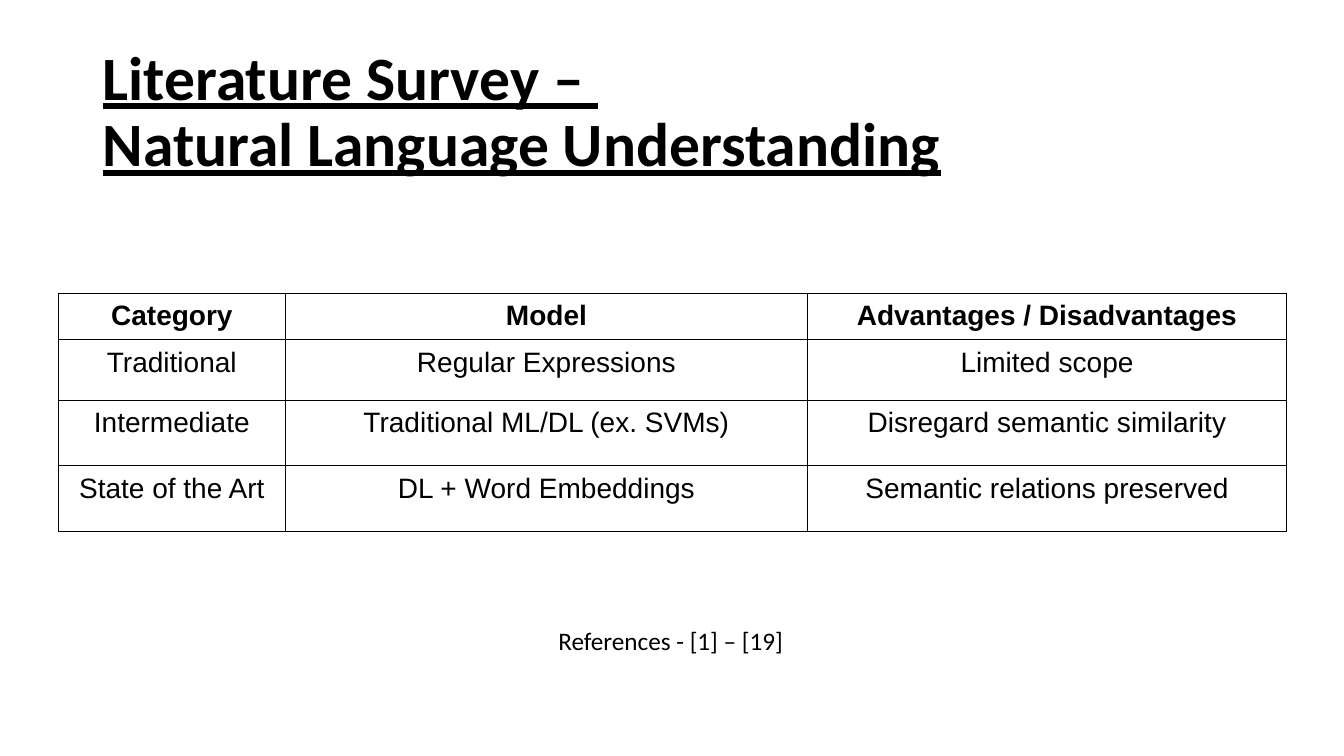
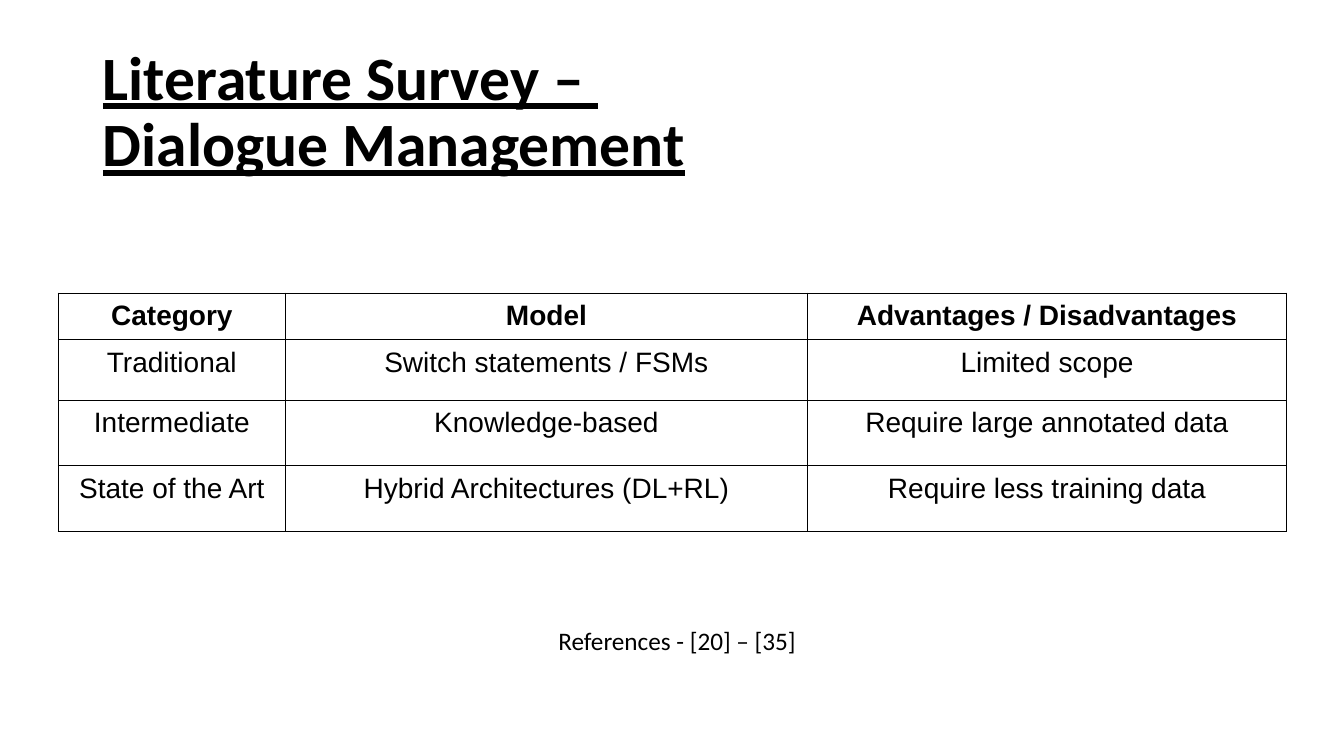
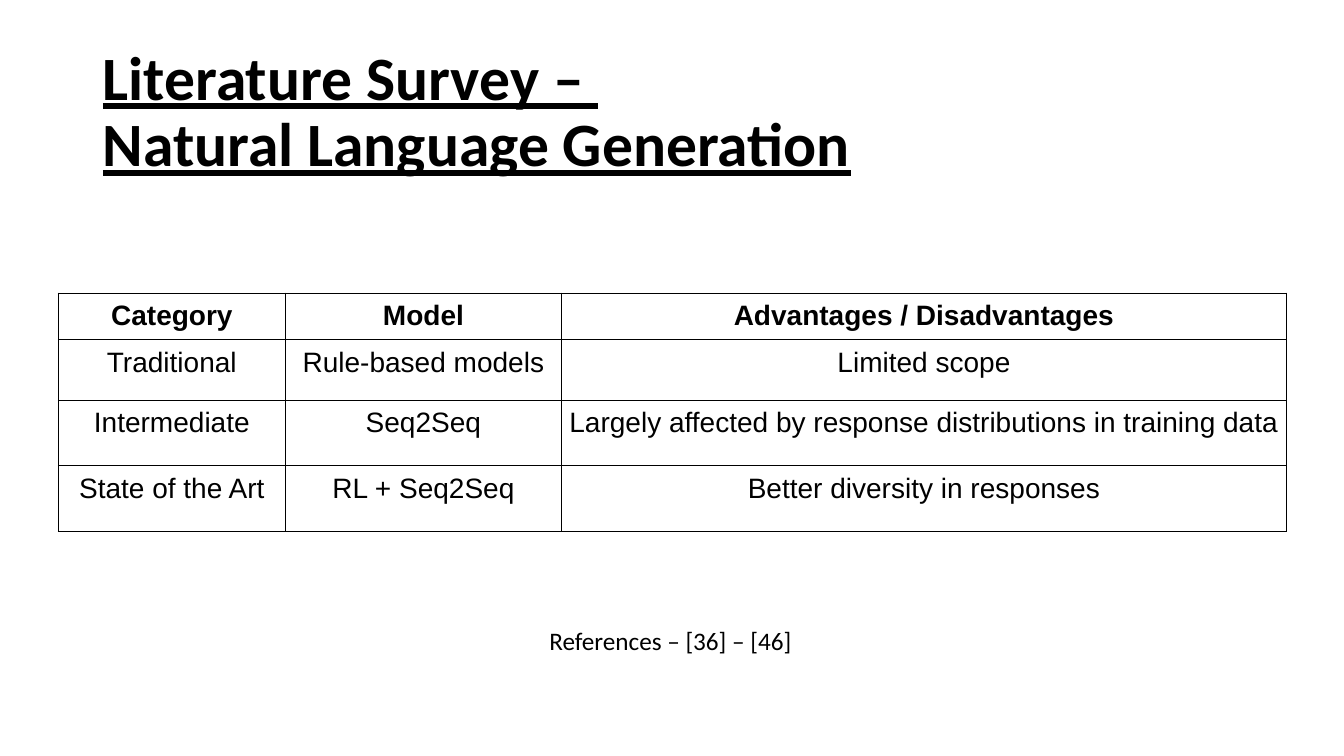
from lxml import etree
from pptx import Presentation, util as u
from pptx.dml.color import RGBColor
from pptx.enum import text
from pptx.oxml import ns

COLORS = {"ink": "000000", "paper": "FFFFFF"}
TITLE_FORMAT = {"name": "Calibri", "size": u.Pt(44), "bold": True, "underline": True}
HEADER_FORMAT = {"name": "Arial", "size": u.Pt(20), "bold": True}
BODY_FORMAT = {**HEADER_FORMAT, "bold": False}
REFERENCE_FORMAT = {"name": "Calibri", "size": u.Pt(18)}
CELL_FORMAT = {
    f"margin_{side}": u.Inches(0.07) for side in ("left", "right", "top", "bottom")
}

SURVEY = "Literature Survey – "
HEADINGS = ["Category", "Model", "Advantages / Disadvantages"]
CATEGORIES = ["Traditional", "Intermediate", "State of the Art"]
ROW_HEIGHTS = [0.46, 0.6, 0.65, 0.65]
TABLE_WIDTH = 12.18
CATEGORY_WIDTH = 2.25

TOPICS = [
    {
        "topic": "Natural Language Understanding",
        "model_width": 5.18,
        "findings": [
            ("Regular Expressions", "Limited scope"),
            ("Traditional ML/DL (ex. SVMs)", "Disregard semantic similarity"),
            ("DL + Word Embeddings", "Semantic relations preserved"),
        ],
        "references": ("References - [1] – [19]", 5.44, 2.46),
    },
    {
        "topic": "Dialogue Management",
        "model_width": 5.18,
        "findings": [
            ("Switch statements / FSMs", "Limited scope"),
            ("Knowledge-based", "Require large annotated data"),
            ("Hybrid Architectures (DL+RL)", "Require less training data"),
        ],
        "references": ("References - [20] – [35]", 5.44, 2.59),
    },
    {
        "topic": "Natural Language Generation",
        "model_width": 2.74,
        "findings": [
            ("Rule-based models", "Limited scope"),
            ("Seq2Seq", "Largely affected by response distributions in training data"),
            ("RL + Seq2Seq", "Better diversity in responses"),
        ],
        "references": ("References – [36] – [46]", 5.35, 2.63),
    },
]


def apply(target, values):
    for name, value in values.items():
        setattr(target, name, value)


def write(frame, lines, font_format, align=text.PP_ALIGN.LEFT):
    paragraph = frame.paragraphs[0]
    paragraph.alignment = align
    for index, line in enumerate(lines):
        if index:
            paragraph.add_line_break()
        run = paragraph.add_run()
        run.text = line
        apply(run.font, font_format)
        run.font.color.rgb = RGBColor.from_string(COLORS["ink"])
    return paragraph


def add_borders(cell):
    properties = cell._tc.get_or_add_tcPr()
    for position, side in enumerate(("lnL", "lnR", "lnT", "lnB")):
        border = etree.Element(ns.qn(f"a:{side}"), w=str(u.Pt(1)))
        fill = etree.SubElement(border, ns.qn("a:solidFill"))
        etree.SubElement(fill, ns.qn("a:srgbClr"), val=COLORS["ink"])
        properties.insert(position, border)


def add_title(slide, topic):
    title = slide.shapes.title
    apply(title, {
        "left": u.Inches(0.92), "top": u.Inches(0.4),
        "width": u.Inches(11.5), "height": u.Inches(1.45),
    })
    apply(title.text_frame, {
        "vertical_anchor": text.MSO_ANCHOR.MIDDLE,
        "auto_size": text.MSO_AUTO_SIZE.NONE,
    })
    write(title.text_frame, [SURVEY, topic], TITLE_FORMAT).line_spacing = 0.9


def add_survey(slide, model_width, findings):
    rows = [HEADINGS] + [
        (category, *finding) for category, finding in zip(CATEGORIES, findings)
    ]
    widths = [CATEGORY_WIDTH, model_width, TABLE_WIDTH - CATEGORY_WIDTH - model_width]
    survey = slide.shapes.add_table(
        len(rows), len(HEADINGS), u.Inches(0.58), u.Inches(2.91),
        u.Inches(TABLE_WIDTH), u.Inches(sum(ROW_HEIGHTS)),
    ).table
    for column, width in zip(survey.columns, widths):
        column.width = u.Inches(width)
    for row, height in zip(survey.rows, ROW_HEIGHTS):
        row.height = u.Inches(height)
    for r, row in enumerate(rows):
        for c, entry in enumerate(row):
            cell = survey.cell(r, c)
            apply(cell, CELL_FORMAT)
            cell.fill.solid()
            cell.fill.fore_color.rgb = RGBColor.from_string(COLORS["paper"])
            add_borders(cell)
            write(cell.text_frame, [entry], BODY_FORMAT if r else HEADER_FORMAT,
                  text.PP_ALIGN.CENTER)


def add_references(slide, wording, left, width):
    references = slide.shapes.add_textbox(
        u.Inches(left), u.Inches(6.15), u.Inches(width), u.Inches(0.4)
    ).text_frame
    apply(references, {
        "word_wrap": False, "auto_size": text.MSO_AUTO_SIZE.SHAPE_TO_FIT_TEXT,
    })
    write(references, [wording], REFERENCE_FORMAT)


def main():
    deck = Presentation()
    apply(deck, {"slide_width": u.Inches(13.33), "slide_height": u.Inches(7.5)})
    for topic in TOPICS:
        slide = deck.slides.add_slide(deck.slide_layouts.get_by_name("Title Only"))
        add_title(slide, topic["topic"])
        add_survey(slide, topic["model_width"], topic["findings"])
        add_references(slide, *topic["references"])
    deck.save("out.pptx")


if __name__ == "__main__":
    main()
